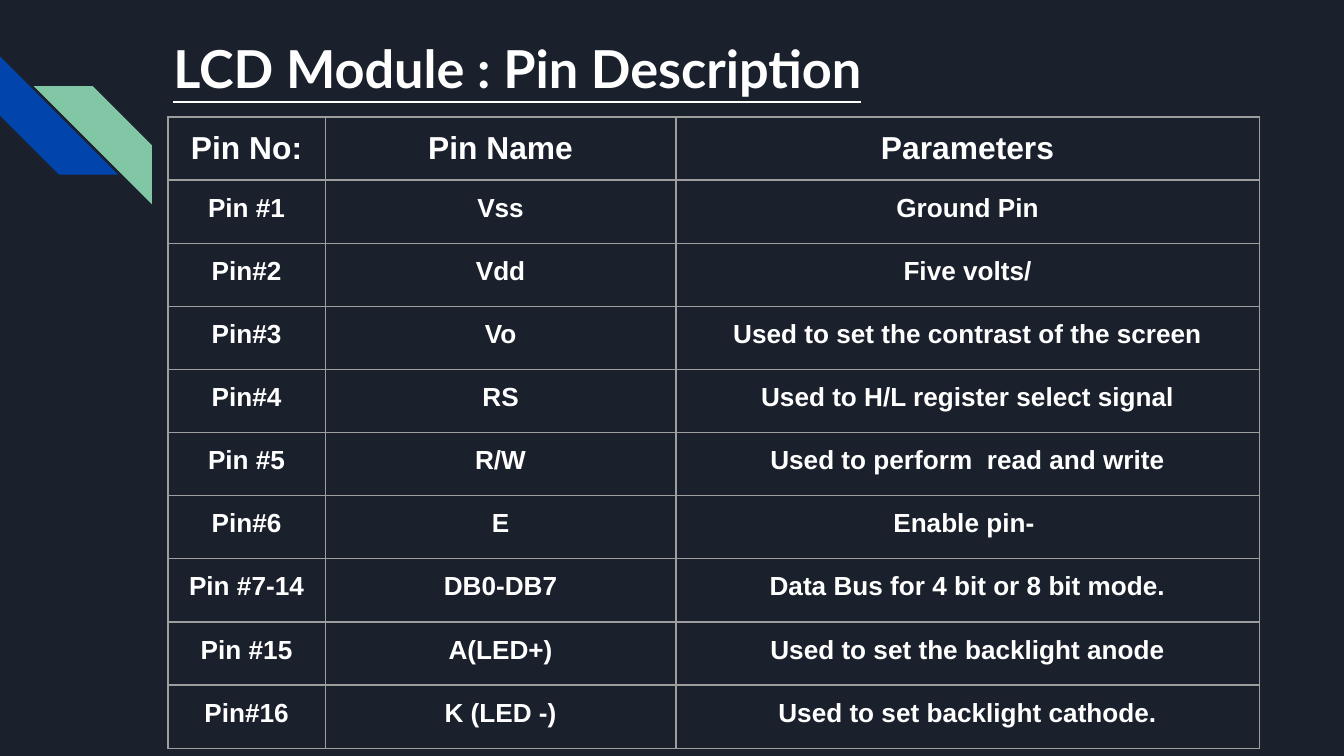
from lxml.etree import SubElement
from pptx import Presentation
from pptx.dml.color import RGBColor
from pptx.enum.shapes import MSO_SHAPE as Shape
from pptx.enum.text import MSO_ANCHOR as Anchor, MSO_AUTO_SIZE as AutoSize, PP_ALIGN as Align
from pptx.oxml.ns import qn
from pptx.util import Inches, Pt

COLORS = {
    "background": "1B212C",
    "blue": "0145AC",
    "green": "82C7A5",
    "text": "FFFFFF",
    "border": "9E9E9E",
}

PIN_ROWS = [
    ("Pin No:", "Pin Name", "Parameters"),
    ("Pin #1", "Vss", "Ground Pin"),
    ("Pin#2", "Vdd", "Five volts/"),
    ("Pin#3", "Vo", "Used to set the contrast of the screen"),
    ("Pin#4", "RS", "Used to H/L register select signal"),
    ("Pin #5", "R/W", "Used to perform  read and write"),
    ("Pin#6", "E", "Enable pin- "),
    ("Pin #7-14", "DB0-DB7", "Data Bus for 4 bit or 8 bit mode."),
    ("Pin #15", "A(LED+)", "Used to set the backlight anode"),
    ("Pin#16", "K (LED -)", "Used to set backlight cathode."),
]


def color(name):
    return RGBColor.from_string(COLORS[name])


class SlideBuilder:
    margin = Inches(0.1)
    title_font = "Lato"
    body_font = "Arial"

    def __init__(self, deck):
        self.page = deck.slides.add_slide(deck.slide_layouts[5])
        fill = self.page.background.fill
        fill.solid()
        fill.fore_color.rgb = color("background")

    def add_span(self, para, text, size, font):
        span = para.add_run()
        span.text = text
        span.font.size = Pt(size)
        span.font.name = font
        span.font.bold = True
        span.font.color.rgb = color("text")
        return span

    def set_margins(self, target):
        target.margin_left = target.margin_right = self.margin
        target.margin_top = target.margin_bottom = self.margin

    def title(self, text, left, top, width, height):
        box = self.page.shapes.title
        box.left, box.top = Inches(left), Inches(top)
        box.width, box.height = Inches(width), Inches(height)
        frame = box.text_frame
        frame.word_wrap = True
        frame.auto_size = AutoSize.NONE
        frame.vertical_anchor = Anchor.TOP
        self.set_margins(frame)
        para = frame.paragraphs[0]
        para.alignment = Align.LEFT
        para.line_spacing = 1.15
        self.add_span(para, text, 28, self.title_font).font.underline = True

    def stripe(self, left, top, size, fill, rotation=0, mirrored=False):
        stripe = self.page.shapes.add_shape(
            Shape.DIAGONAL_STRIPE, Inches(left), Inches(top), Inches(size), Inches(size))
        stripe.shadow.inherit = False
        stripe.adjustments[0] = 0.5
        stripe.rotation = rotation
        stripe.fill.solid()
        stripe.fill.fore_color.rgb = color(fill)
        stripe.line.fill.background()
        if mirrored:
            stripe._element.spPr.xfrm.set("flipH", "1")

    def border(self, cell):
        properties = cell._tc.get_or_add_tcPr()
        for position, side in enumerate(("a:lnL", "a:lnR", "a:lnT", "a:lnB")):
            line = SubElement(properties, qn(side), w=str(Pt(0.75)))
            fill = SubElement(line, qn("a:solidFill"))
            SubElement(fill, qn("a:srgbClr"), val=COLORS["border"])
            properties.insert(position, line)

    def table(self, rows, left, top, widths, row_height):
        frame = self.page.shapes.add_table(
            len(rows), len(widths), Inches(left), Inches(top),
            Inches(sum(widths)), Inches(row_height * len(rows)))
        table = frame.table
        table.first_row = table.horz_banding = False
        for column, width in zip(table.columns, widths):
            column.width = Inches(width)
        for row_index, texts in enumerate(rows):
            table.rows[row_index].height = Inches(row_height)
            for column_index, text in enumerate(texts):
                cell = table.cell(row_index, column_index)
                cell.fill.background()
                cell.vertical_anchor = Anchor.TOP
                self.set_margins(cell)
                self.border(cell)
                para = cell.text_frame.paragraphs[0]
                para.alignment = Align.CENTER
                self.add_span(para, text, 14 if row_index else 17, self.body_font)


deck = Presentation()
deck.slide_width = Inches(10)
deck.slide_height = Inches(10 * 9 / 16)

slide = SlideBuilder(deck)
slide.stripe(0, 0.42, 0.88, "blue", rotation=270)
slide.stripe(0.25, 0.64, 0.88, "green", mirrored=True)
slide.title("LCD Module : Pin Description", 1.19, 0.1, 8.61, 5.28)
slide.table(PIN_ROWS, 1.25, 0.87, (1.17, 2.61, 4.34), 0.47)

deck.save("out.pptx")
